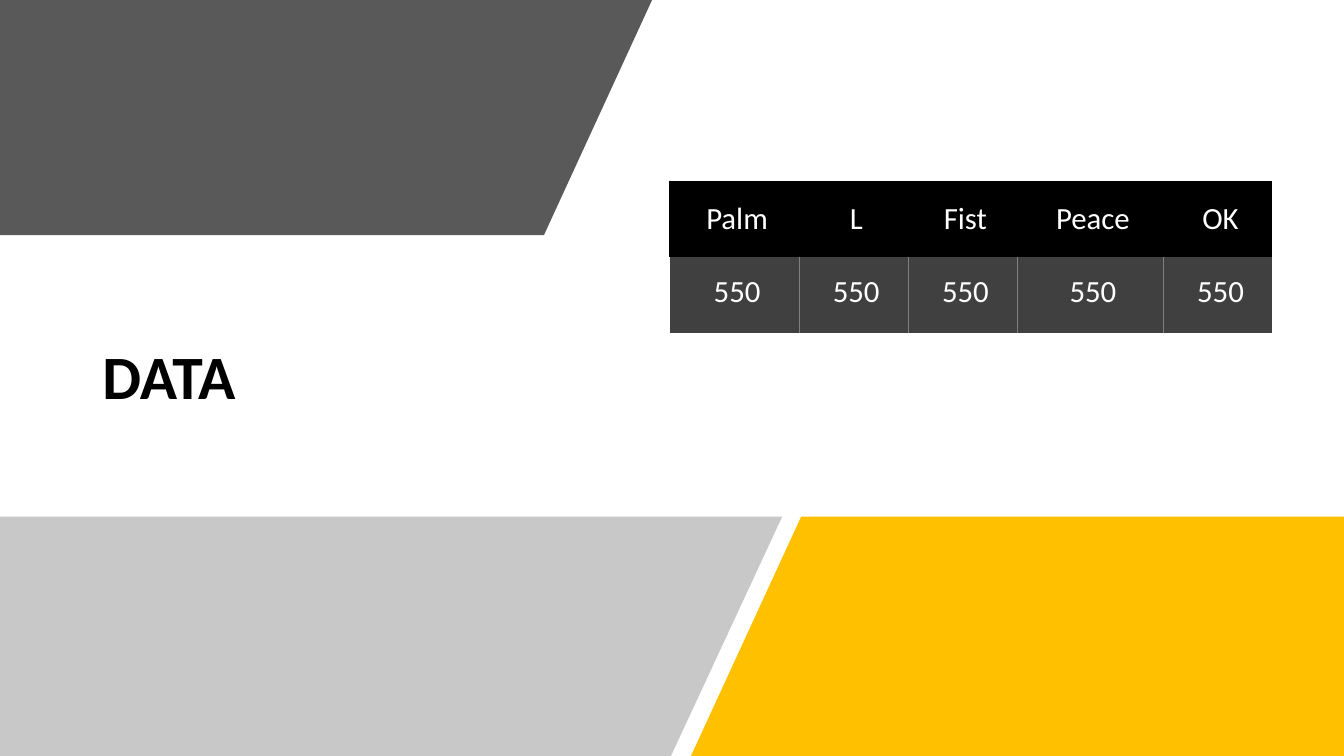
"""Builds the DATA slide: a gesture count table among slanted colour panels."""
import pptx
import pptx.dml.color
import pptx.enum.text
import pptx.oxml
import pptx.oxml.ns
import pptx.util

PX = 9525
COLORS = {"black": "000000", "white": "FFFFFF", "dark": "595959", "yellow": "FFC000",
          "silver": "B2B2B2", "row": "404040", "divider": "808080"}
MIDDLE = pptx.enum.text.MSO_ANCHOR.MIDDLE
TOP = pptx.enum.text.MSO_ANCHOR.TOP
CENTER = pptx.enum.text.PP_ALIGN.CENTER
LEFT = pptx.enum.text.PP_ALIGN.LEFT


def format_text(paragraph, size, color, bold, alignment):
    paragraph.alignment = alignment
    font = paragraph.runs[0].font
    for name, value in {"name": "Calibri", "size": pptx.util.Pt(size), "bold": bold}.items():
        setattr(font, name, value)
    font.color.rgb = pptx.dml.color.RGBColor.from_string(COLORS[color])


def border_element(side, color, width):
    fill = f'<a:solidFill><a:srgbClr val="{COLORS[color]}"/></a:solidFill>' if color else "<a:noFill/>"
    return pptx.oxml.parse_xml(
        f'<a:ln{side} {pptx.oxml.ns.nsdecls("a")} w="{pptx.util.Pt(width)}">{fill}</a:ln{side}>')


presentation = pptx.Presentation()
presentation.slide_width = 1280 * PX
presentation.slide_height = 720 * PX
slide = presentation.slides.add_slide(presentation.slide_layouts[5])

title = slide.shapes.title
for name, value in {"left": 88, "top": 246, "width": 445, "height": 231}.items():
    setattr(title, name, value * PX)
title.text_frame.text = "DATA"
title.text_frame.vertical_anchor = MIDDLE
title.text_frame.auto_size = pptx.enum.text.MSO_AUTO_SIZE.NONE
title.text_frame.paragraphs[0].line_spacing = 0.9
format_text(title.text_frame.paragraphs[0], 44, "black", True, LEFT)

panels = [
    ("dark", 100, [(0, 0), (621, 0), (518, 224), (0, 224)]),
    ("yellow", 100, [(763, 492), (1280, 492), (1280, 720), (658, 720)]),
    ("silver", 70, [(0, 492), (745, 492), (639, 720), (0, 720)]),
]
for color, opacity, points in panels:
    builder = slide.shapes.build_freeform(*points[0], scale=PX)
    builder.add_line_segments(points[1:], close=True)
    panel = builder.convert_to_shape()
    panel.shadow.inherit = False
    panel.line.fill.background()
    panel.fill.solid()
    panel.fill.fore_color.rgb = pptx.dml.color.RGBColor.from_string(COLORS[color])
    if opacity < 100:
        color_element = panel.fill._xPr.find(".//" + pptx.oxml.ns.qn("a:srgbClr"))
        color_element.append(pptx.oxml.parse_xml(
            f'<a:alpha {pptx.oxml.ns.nsdecls("a")} val="{opacity * 1000}"/>'))

gestures = ["Palm", "L", "Fist", "Peace", "OK"]
rows = [("black", MIDDLE, gestures), ("row", TOP, ["550"] * len(gestures))]
column_widths = [123, 104, 104, 139, 104]
row_height = 72
table = slide.shapes.add_table(len(rows), len(gestures), 638 * PX, 173 * PX,
                               sum(column_widths) * PX, len(rows) * row_height * PX).table
table.first_row = False
table.horz_banding = False
for column, width in zip(table.columns, column_widths):
    column.width = width * PX

last = len(gestures) - 1
for row_index, (fill, anchor, values) in enumerate(rows):
    table.rows[row_index].height = row_height * PX
    header = row_index == 0
    for column_index, value in enumerate(values):
        cell = table.cell(row_index, column_index)
        cell.text = value
        cell.vertical_anchor = anchor
        for side, inset in {"left": 20, "top": 15, "right": 15, "bottom": 15}.items():
            setattr(cell, f"margin_{side}", inset * PX)
        format_text(cell.text_frame.paragraphs[0], 22, "white", False, CENTER)
        cell.fill.solid()
        cell.fill.fore_color.rgb = pptx.dml.color.RGBColor.from_string(COLORS[fill])
        borders = {"L": None, "R": None, "T": None, "B": None}
        if header:
            borders["T"] = "black"
            borders["L"] = "black" if column_index == 0 else None
        else:
            borders["L"] = "divider" if column_index > 0 else None
            borders["R"] = "divider" if column_index < last else None
        properties = cell._tc.get_or_add_tcPr()
        for position, (side, color) in enumerate(borders.items()):
            properties.insert(position, border_element(side, color, 1.5 if header else 0.5))

presentation.save("out.pptx")
